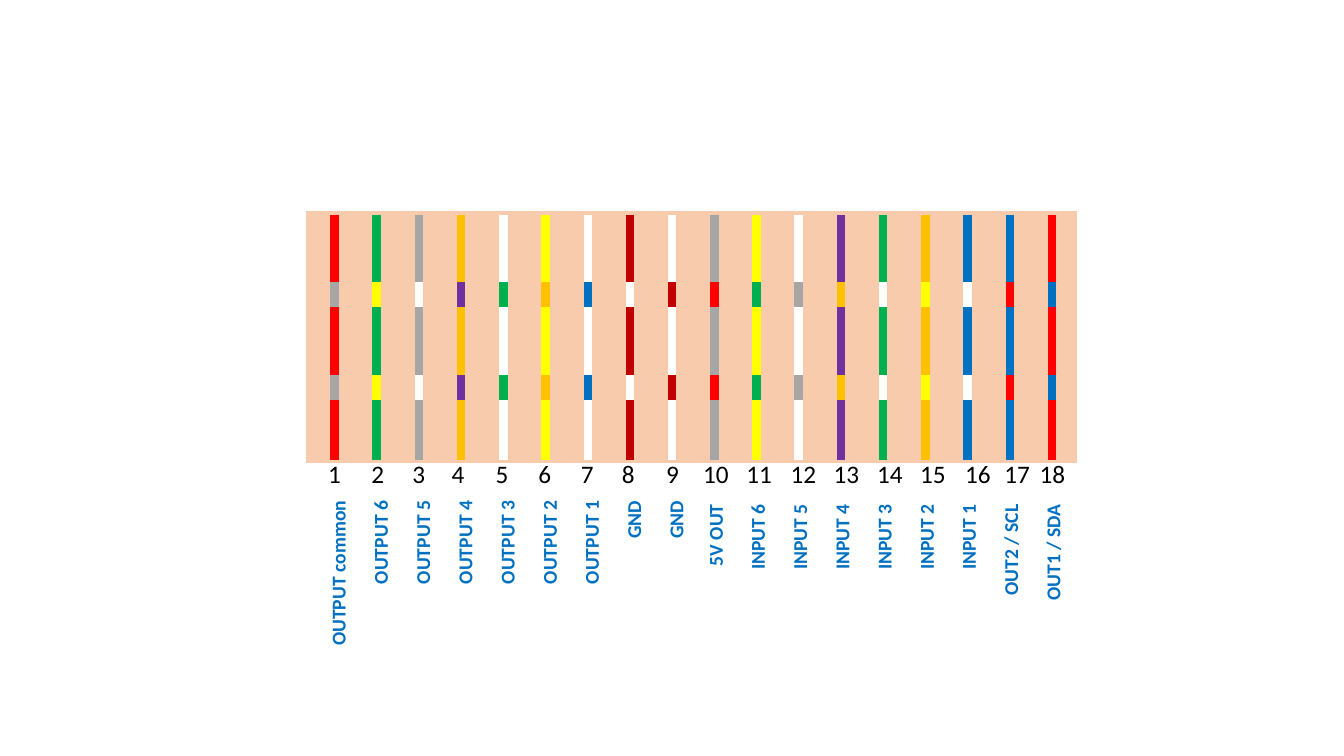
from lxml import etree
from pptx import Presentation
from pptx.dml.color import RGBColor
from pptx.enum.dml import MSO_LINE
from pptx.enum.shapes import MSO_CONNECTOR, MSO_SHAPE
from pptx.enum.text import MSO_AUTO_SIZE, PP_ALIGN
from pptx.oxml.ns import qn
from pptx.util import Cm, Pt

FONT = "Calibri"
BLACK, WHITE, GREY = "000000", "FFFFFF", "A6A6A6"
RED, DARK_RED, ORANGE, YELLOW = "FF0000", "C00000", "FFC000", "FFFF00"
GREEN, BLUE, PURPLE, PEACH = "00B050", "0070C0", "7030A0", "F8CBAD"

# label, main colour, stripe colour, sideways shift of the number in cm
PINS = [
    ("OUTPUT common", RED, GREY, 0),
    ("OUTPUT 6", GREEN, YELLOW, 0.03),
    ("OUTPUT 5", GREY, WHITE, 0),
    ("OUTPUT 4", ORANGE, PURPLE, -0.08),
    ("OUTPUT 3", WHITE, GREEN, -0.03),
    ("OUTPUT 2", YELLOW, ORANGE, -0.02),
    ("OUTPUT 1", WHITE, BLUE, -0.01),
    ("GND", DARK_RED, WHITE, -0.04),
    ("GND", WHITE, DARK_RED, 0.01),
    ("5V OUT", GREY, RED, 0.04),
    ("INPUT 6", YELLOW, GREEN, 0.07),
    ("INPUT 5", WHITE, GREY, 0.12),
    ("INPUT 4", PURPLE, ORANGE, 0.14),
    ("INPUT 3", GREEN, WHITE, 0.17),
    ("INPUT 2", ORANGE, YELLOW, 0.19),
    ("INPUT 1", BLUE, WHITE, 0.26),
    ("OUT2 / SCL", BLUE, RED, 0.19),
    ("OUT1 / SDA", RED, BLUE, 0.01),
]
HALF = len(PINS) // 2


def rgb(color):
    return RGBColor.from_string(color)


def pin_x(left, width, i):
    """Centre of pin i when the pins spread evenly over the width."""
    return left + width * i / (len(PINS) - 1)


def add_text(shapes, box, text, size, color, align, bold=False):
    """Text box centred on the x and y that begin the box."""
    x, y, w, h = box
    tb = shapes.add_textbox(Cm(x - w / 2), Cm(y - h / 2), Cm(w), Cm(h))
    tf = tb.text_frame
    tf.word_wrap = True
    tf.auto_size = MSO_AUTO_SIZE.SHAPE_TO_FIT_TEXT
    p = tf.paragraphs[0]
    p.alignment = align
    r = p.add_run()
    r.text = text
    r.font.name, r.font.size, r.font.bold = FONT, Pt(size), bold
    r.font.color.rgb = rgb(color)
    return tb


def add_board(shapes, left, top, width, height):
    sp = shapes.add_shape(MSO_SHAPE.RECTANGLE, Cm(left), Cm(top), Cm(width), Cm(height))
    sp.shadow.inherit = False
    sp.fill.solid()
    sp.fill.fore_color.rgb = rgb(PEACH)
    sp.line.color.rgb = rgb(PEACH)
    sp.line.width = Pt(1)


def add_numbers(shapes, left, top, width, height):
    for i, (_, _, _, shift) in enumerate(PINS):
        box = (pin_x(left, width, i) + shift, top + height / 2, 3.07, height)
        add_text(shapes, box, str(i + 1), 18, BLACK, PP_ALIGN.CENTER)


def add_labels(shapes, left, top, width, height):
    """Labels that read upwards, one group for each half of the pins."""
    for start, dx, dy in ((0, 0.09, 0), (HALF, 0.02, 0.09)):
        group = shapes.add_group_shape().shapes
        for i in range(start, start + HALF):
            box = (pin_x(left, width, i) + dx, top + height / 2 + dy, height, 0.85)
            tb = add_text(group, box, PINS[i][0], 14, BLUE, PP_ALIGN.RIGHT, bold=True)
            tb.rotation = 270


def add_wires(shapes, left, top, width, height):
    """Striped wires: a solid stripe line under a dashed main line."""
    group = shapes.add_group_shape().shapes
    for i, (_, main, stripe, _) in enumerate(PINS):
        x = Cm(pin_x(left, width, i))
        for color, dash in ((stripe, None), (main, MSO_LINE.LONG_DASH)):
            wire = group.add_connector(MSO_CONNECTOR.STRAIGHT, x, Cm(top), x, Cm(top + height))
            wire.line.color.rgb = rgb(color)
            wire.line.width = Pt(6)
            wire.line.dash_style = dash
            etree.SubElement(wire._element.spPr, qn("a:effectLst"))


def add_connector_pinout(slide, left, top, width, height):
    shapes = slide.shapes
    pins_left, pins_width = left + 0.71, width - 1.33
    add_board(shapes, left, top, width, height)
    add_numbers(shapes, pins_left, top + height - 0.22, pins_width, 1.02)
    add_labels(shapes, pins_left, top + height + 0.72, pins_width, 5.2)
    add_wires(shapes, pins_left, top + 0.08, pins_width, height - 0.15)


def main():
    prs = Presentation()
    prs.slide_width, prs.slide_height = Cm(33.87), Cm(19.05)
    slide = prs.slides.add_slide(prs.slide_layouts[6])
    add_connector_pinout(slide, 7.72, 5.33, 19.41, 6.32)
    prs.save("out.pptx")


if __name__ == "__main__":
    main()
